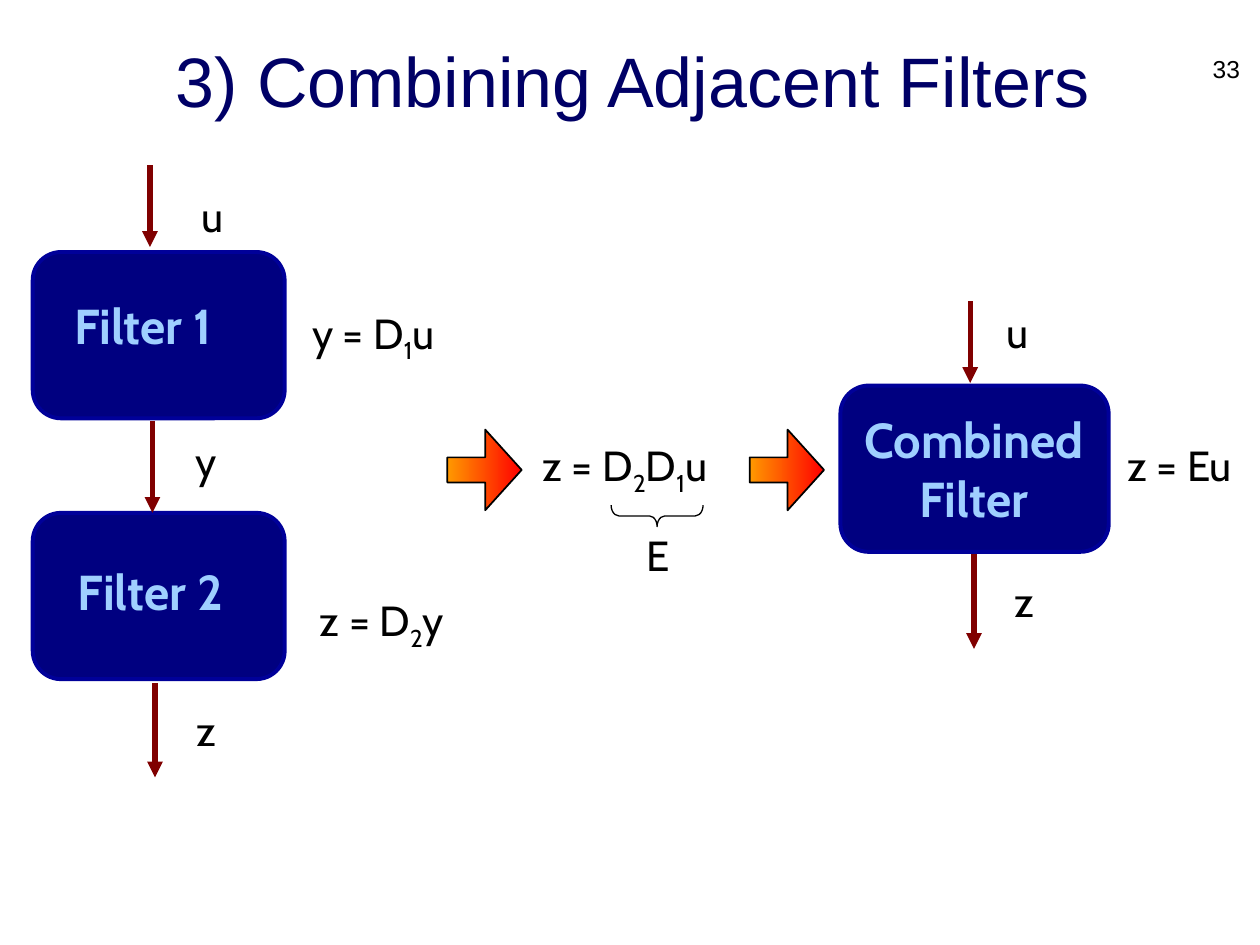
from lxml.etree import SubElement
from pptx import Presentation
from pptx.dml.color import RGBColor
from pptx.enum.shapes import MSO_CONNECTOR, MSO_SHAPE
from pptx.enum.text import MSO_ANCHOR, MSO_AUTO_SIZE, PP_ALIGN
from pptx.oxml.ns import qn
from pptx.util import Inches, Pt

THEME = {
    "heading_font": "Arial", "body_font": "Cabin",
    "title": "000066", "ink": "000000", "filter_text": "9FCFFF",
    "filter_fill": "000080", "filter_line": "000099", "flow": "800000",
    "gradient": ("FF0000", "FF9900"),
    "title_size": 40, "filter_size": 28, "label_size": 24, "number_size": 14,
}

TITLE = ("3) Combining Adjacent Filters", (0.29, 0.19, 9.46, 0.88))
SLIDE_NUMBER = ("33", (9.46, 0.38, 0.48, 0.3))

FILTER_HEIGHT = 1.32
FILTERS = [
    ("Filter 1", (0.26, 2, 2), (0.49, 2.3, 1.55, 0.57), PP_ALIGN.LEFT),
    ("Filter 2", (0.26, 4.07, 2), (0.52, 4.41, 1.55, 0.57), PP_ALIGN.LEFT),
    ("Combined\nFilter", (6.67, 3.06, 2.13), (6.65, 3.2, 2.16, 1.04), PP_ALIGN.CENTER),
]

# Text between underscores is set as a subscript.
LABELS = [
    ("u", (1.5, 1.46, 0.4, 0.5)),
    ("y", (1.45, 3.41, 0.37, 0.5)),
    ("z", (1.46, 5.54, 0.35, 0.5)),
    ("y = D_1_u", (2.38, 2.39, 1.29, 0.56)),
    ("z = D_2_y", (2.44, 4.67, 1.24, 0.56)),
    ("z = D_2_D_1_u", (4.21, 3.44, 1.63, 0.56)),
    ("E", (5.03, 4.15, 0.38, 0.5)),
    ("u", (7.89, 2.38, 0.4, 0.5)),
    ("z", (7.95, 4.52, 0.35, 0.5)),
    ("z = Eu", (8.85, 3.44, 1.11, 0.5)),
]

FLOWS = [
    (1.19, 1.31, 1.96), (1.21, 3.34, 4.07), (1.23, 5.42, 6.17),
    (7.7, 2.39, 3.04), (7.73, 4.4, 5.15),
]
STEP_LEFTS = (3.55, 5.95)
STEP_TOP, STEP_WIDTH, STEP_HEIGHT = 3.41, 0.59, 0.64
BRACE = (5.13, 3.73, 0.17, 0.73)


def color(name):
    return RGBColor.from_string(THEME.get(name, name))


def write(shape, text, *, size, ink="ink", font="body_font", bold=False,
          align=PP_ALIGN.LEFT, anchor=MSO_ANCHOR.TOP, wrap=False):
    frame = shape.text_frame
    frame.word_wrap = wrap
    frame.auto_size = MSO_AUTO_SIZE.NONE if wrap else MSO_AUTO_SIZE.SHAPE_TO_FIT_TEXT
    frame.vertical_anchor = anchor
    paragraph = frame.paragraphs[0]
    paragraph.alignment = align
    for line_number, line in enumerate(text.split("\n")):
        if line_number:
            paragraph.add_line_break()
        for position, part in enumerate(line.split("_")):
            run = paragraph.add_run()
            run.text = part
            run.font.name = THEME[font]
            run.font.size = Pt(THEME[size])
            run.font.bold = bold
            run.font.color.rgb = color(ink)
            if position % 2:
                run._r.get_or_add_rPr().set("baseline", "-25000")


def add_text(slide, text, box, **style):
    write(slide.shapes.add_textbox(*map(Inches, box)), text, **style)


def add_shape(slide, kind, box, line, width, adjustments):
    shape = slide.shapes.add_shape(kind, *map(Inches, box))
    shape.shadow.inherit = False
    shape.line.color.rgb = color(line)
    shape.line.width = Pt(width)
    for index, value in enumerate(adjustments):
        shape.adjustments[index] = value
    return shape


def add_flow(slide, x, top, bottom):
    connector = slide.shapes.add_connector(
        MSO_CONNECTOR.STRAIGHT, Inches(x), Inches(top), Inches(x), Inches(bottom))
    connector.line.color.rgb = color("flow")
    connector.line.width = Pt(3)
    SubElement(connector.line._get_or_add_ln(), qn("a:tailEnd"), type="triangle")
    SubElement(connector._element.spPr, qn("a:effectLst"))


def add_step(slide, left):
    arrow = add_shape(slide, MSO_SHAPE.RIGHT_ARROW,
                      (left, STEP_TOP, STEP_WIDTH, STEP_HEIGHT), "ink", 1, (0.31, 0.49))
    arrow.fill.gradient()
    arrow.fill.gradient_angle = 180
    for position, (stop, shade) in enumerate(zip(arrow.fill.gradient_stops, THEME["gradient"])):
        stop.position = position
        stop.color.rgb = color(shade)


def main():
    presentation = Presentation()
    presentation.slide_width, presentation.slide_height = Inches(10), Inches(7.5)
    slide = presentation.slides.add_slide(presentation.slide_layouts[5])

    text, box = TITLE
    title = slide.shapes.title
    title.left, title.top, title.width, title.height = map(Inches, box)
    write(title, text, size="title_size", ink="title", font="heading_font",
          align=PP_ALIGN.CENTER, anchor=MSO_ANCHOR.MIDDLE, wrap=True)

    for text, body, text_box, align in FILTERS:
        block = add_shape(slide, MSO_SHAPE.ROUNDED_RECTANGLE, (*body, FILTER_HEIGHT),
                          "filter_line", 2.25, (0.17,))
        block.fill.solid()
        block.fill.fore_color.rgb = color("filter_fill")
        add_text(slide, text, text_box, size="filter_size", ink="filter_text",
                 bold=True, align=align)

    for flow in FLOWS:
        add_flow(slide, *flow)
    for left in STEP_LEFTS:
        add_step(slide, left)

    brace = add_shape(slide, MSO_SHAPE.RIGHT_BRACE, BRACE, "ink", 0.75, (0.36, 0.5))
    brace.fill.background()
    brace.rotation = 90

    for text, box in LABELS:
        add_text(slide, text, box, size="label_size")
    text, box = SLIDE_NUMBER
    add_text(slide, text, box, size="number_size", font="heading_font",
             align=PP_ALIGN.RIGHT, wrap=True)

    presentation.save("out.pptx")


if __name__ == "__main__":
    main()
